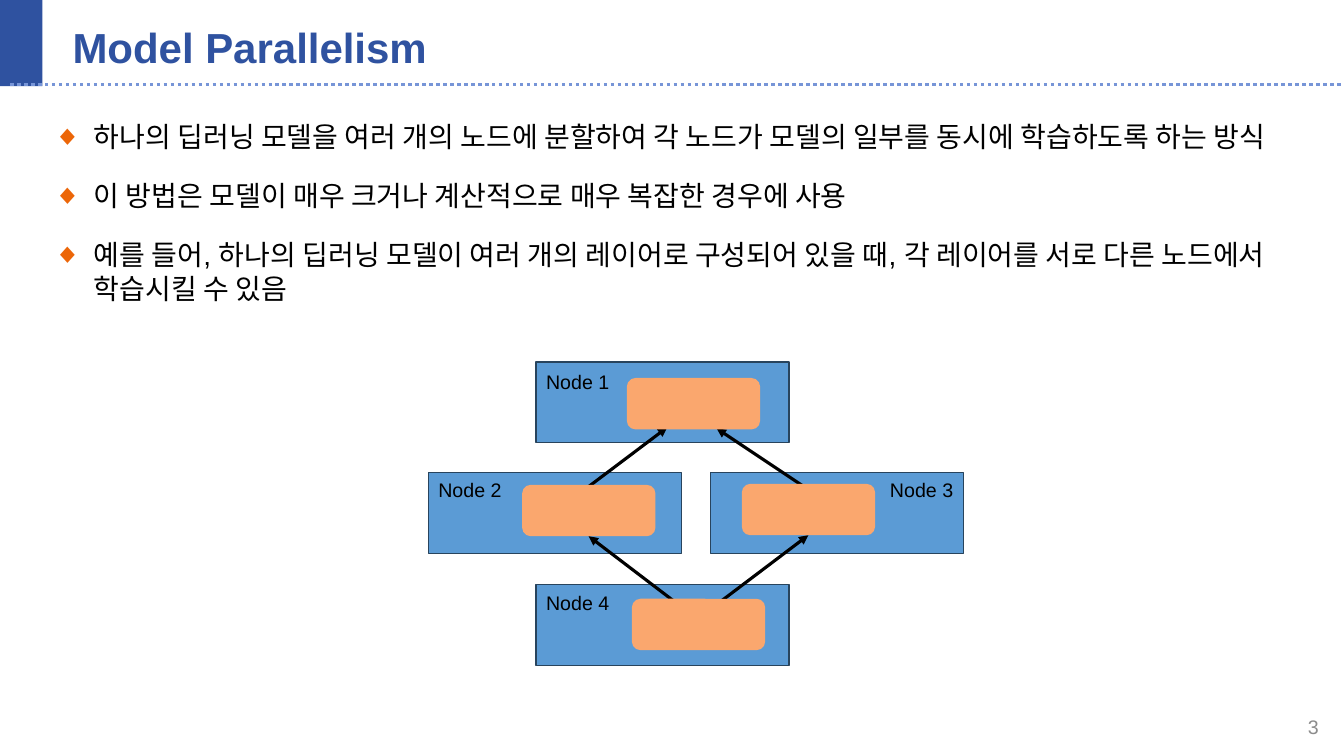
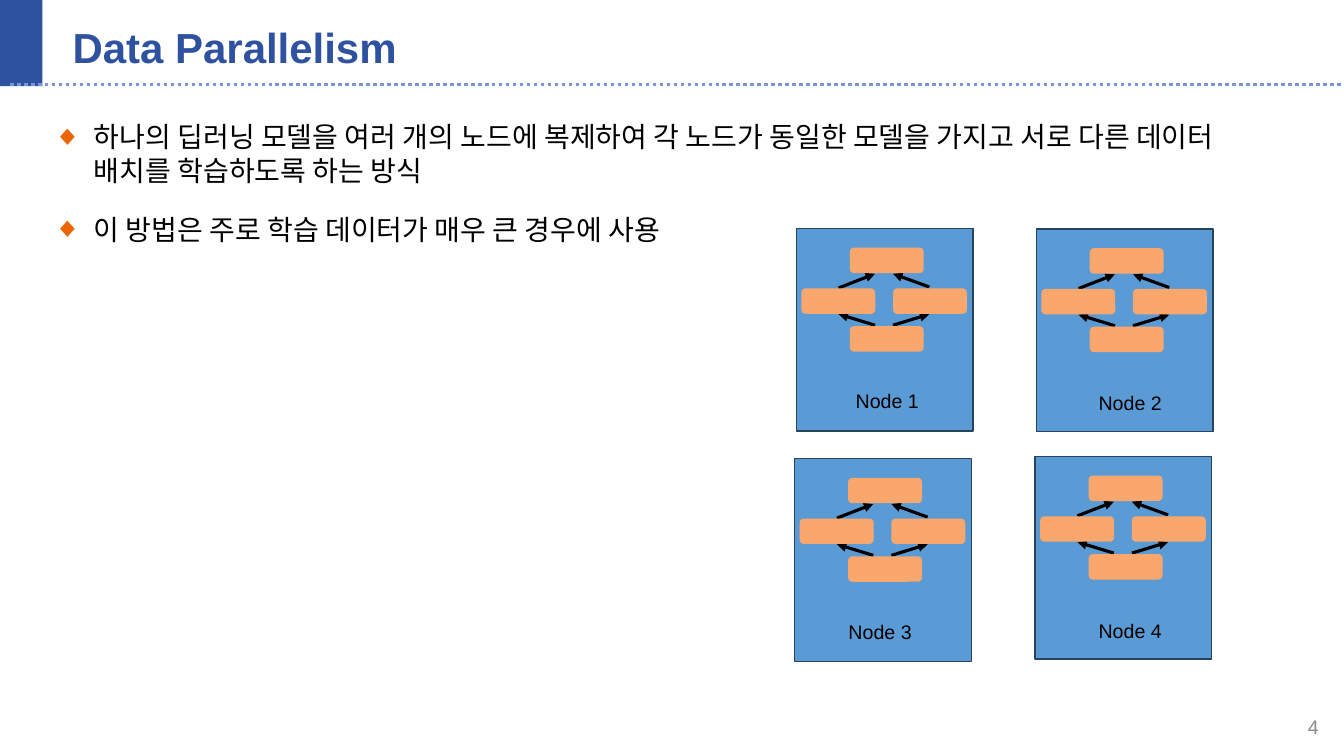
from dataclasses import dataclass, field
from lxml.etree import SubElement
from pptx import Presentation
from pptx.dml.color import RGBColor
from pptx.enum.dml import MSO_LINE
from pptx.enum.shapes import MSO_CONNECTOR, MSO_SHAPE
from pptx.enum.text import MSO_ANCHOR, MSO_AUTO_SIZE, PP_ALIGN
from pptx.oxml.ns import qn
from pptx.util import Pt


def style(size, bold=False):
    return {"name": "Arial", "size": Pt(size), "bold": bold}


@dataclass(frozen=True)
class Theme:
    navy: str = "2F52A0"
    dots: str = "7795D7"
    mark: str = "EC6608"
    node: str = "5B9BD5"
    edge: str = "28445D"
    chip: str = "FAA76E"
    ink: str = "000000"
    gray: str = "8C8C8C"
    title: dict = field(default_factory=lambda: style(30, True))
    body: dict = field(default_factory=lambda: style(20))
    label: dict = field(default_factory=lambda: style(14))


LOOK = Theme()

MODEL = (
    "하나의 딥러닝 모델을 여러 개의 노드에 분할하여 각 노드가 모델의 일부를 동시에 학습하도록 하는 방식",
    "이 방법은 모델이 매우 크거나 계산적으로 매우 복잡한 경우에 사용",
    "예를 들어, 하나의 딥러닝 모델이 여러 개의 레이어로 구성되어 있을 때, 각 레이어를 서로 다른 노드에서 학습시킬 수 있음",
)
DATA = (
    "하나의 딥러닝 모델을 여러 개의 노드에 복제하여 각 노드가 동일한 모델을 가지고 서로 다른 데이터 배치를 학습하도록 하는 방식",
    "이 방법은 주로 학습 데이터가 매우 큰 경우에 사용",
)

# name, node place, label offset, chip offset
SPLIT = (
    ("Node 1", (383, 258.5), (0, 2.2), (64.8, 11.5)),
    ("Node 3", (507.6, 337.7), (121, 0), (22.3, 7.9)),
    ("Node 2", (306, 337.7), (0, 0), (67, 8.6)),
    ("Node 4", (383, 417.6), (0, 0.7), (68.4, 10.1)),
)
FLOW = (
    ((418.3, 349.2), (476.6, 305.3)),
    ((576.7, 349.2), (511.9, 306)),
    ((515.5, 429.1), (577.4, 382.3)),
    ((481, 429.1), (420.5, 383)),
)
CLONES = (
    ("Node 1", (568.8, 163.2), (35.3, 111.1)),
    ("Node 2", (740.2, 163.6), (37.4, 112.2)),
    ("Node 4", (739.4, 326), (38.2, 112.5)),
    ("Node 3", (567.6, 327.6), (31.4, 111.6)),
)
CHIPS = ((38.2, 69.8), (38.2, 13.7), (3.6, 42.8), (69.1, 42.8))
LINKS = (
    ((30.2, 42.5), (56.2, 32.4)),
    ((95, 41.8), (69.1, 32.4)),
    ((56.2, 69.1), (30.2, 61.2)),
    ((69.1, 69.1), (95, 61.2)),
)


def put(item, vals):
    for key, val in vals.items():
        setattr(item, key, val)


def shift(base, step):
    return base[0] + step[0], base[1] + step[1]


def place(shape, box):
    put(shape, dict(zip(("left", "top", "width", "height"), map(Pt, box))))


def write(frame, lines, font, color, form=None):
    frame.text = "\n".join(lines)
    for para in frame.paragraphs:
        put(para, form or {})
        put(para.font, font)
        para.font.color.rgb = RGBColor.from_string(color)
        for run in para.runs:
            put(run.font, font)
            run.font.color.rgb = RGBColor.from_string(color)


def block(slide, kind, spot, size, fill, edge=None):
    shape = slide.shapes.add_shape(kind, *map(Pt, spot + size))
    shape.shadow.inherit = False
    shape.fill.solid()
    shape.fill.fore_color.rgb = RGBColor.from_string(fill)
    if edge:
        shape.line.color.rgb = RGBColor.from_string(edge)
        shape.line.width = Pt(1)
    else:
        shape.line.fill.background()
    return shape


def stroke(slide, start, end, color, width):
    line = slide.shapes.add_connector(MSO_CONNECTOR.STRAIGHT, *map(Pt, start + end))
    line.line.color.rgb = RGBColor.from_string(color)
    line.line.width = Pt(width)
    SubElement(line.element.spPr, qn("a:effectLst"))
    return line


def arrow(slide, start, end):
    line = stroke(slide, start, end, LOOK.ink, 2.25)
    SubElement(line.element.xpath(".//a:ln")[0], qn("a:tailEnd"), type="triangle")


def label(slide, text, spot, size=(77, 24.2), color=LOOK.ink, form=None, **extra):
    frame = slide.shapes.add_textbox(*map(Pt, spot + size)).text_frame
    put(frame, {"word_wrap": True, **extra})
    write(frame, [text], LOOK.label, color, form)


def bullet(shape):
    for para in shape.element.iter(qn("a:p")):
        form = para.get_or_add_pPr()
        put_in = {"marL": Pt(28.8), "indent": Pt(-28.8)}
        for key, val in put_in.items():
            form.set(key, str(val))
        tint = SubElement(form, qn("a:buClr"))
        SubElement(tint, qn("a:srgbClr"), val=LOOK.mark)
        SubElement(form, qn("a:buChar"), char="◆")


def brand(layout, slide):
    band = block(slide, MSO_SHAPE.RECTANGLE, (0, 0), (30.4, 61.6), LOOK.navy)
    rule = stroke(slide, (7.2, 60.5), (960, 60.5), LOOK.dots, 2.5)
    rule.line.dash_style = MSO_LINE.ROUND_DOT
    for count, shape in enumerate((band, rule), 50):
        shape.element.xpath(".//p:cNvPr")[0].set("id", str(count))
        layout.shapes.element.append(shape.element)


def page(deck, title, lines, width, number):
    slide = deck.slides.add_slide(deck.slide_layouts[1])
    head, body = slide.placeholders
    place(head, (44.6, 14.4, 828, 38.2))
    place(body, (31, 82.1, width, 403.9))
    for shape, anchor in ((head, MSO_ANCHOR.MIDDLE), (body, MSO_ANCHOR.TOP)):
        put(shape.text_frame, {"word_wrap": True, "auto_size": MSO_AUTO_SIZE.NONE,
                               "vertical_anchor": anchor})
    write(head.text_frame, [title], LOOK.title, LOOK.navy,
          {"alignment": PP_ALIGN.LEFT})
    write(body.text_frame, lines, LOOK.body, LOOK.ink, {"space_before": Pt(18)})
    bullet(body)
    label(slide, str(number), (733, 504.7), (216, 28.8), LOOK.gray,
          {"alignment": PP_ALIGN.RIGHT}, vertical_anchor=MSO_ANCHOR.MIDDLE)
    return slide


def split(slide):
    for name, spot, text, chip in SPLIT:
        block(slide, MSO_SHAPE.RECTANGLE, spot, (180.7, 57.6), LOOK.node, LOOK.edge)
    for start, end in FLOW:
        arrow(slide, start, end)
    for name, spot, text, chip in SPLIT:
        label(slide, name, shift(spot, text))
        block(slide, MSO_SHAPE.ROUNDED_RECTANGLE, shift(spot, chip),
              (95.2, 36.7), LOOK.chip)


def clone(slide, name, spot, text):
    block(slide, MSO_SHAPE.RECTANGLE, spot, (126.2, 144.8), LOOK.node, LOOK.edge)
    for start, end in LINKS:
        arrow(slide, shift(spot, start), shift(spot, end))
    for chip in CHIPS:
        block(slide, MSO_SHAPE.ROUNDED_RECTANGLE, shift(spot, chip),
              (52.8, 18.2), LOOK.chip)
    label(slide, name, shift(spot, text))


def main():
    deck = Presentation()
    put(deck, {"slide_width": Pt(960), "slide_height": Pt(540)})
    first = page(deck, "Model Parallelism", MODEL, 923, 3)
    brand(deck.slide_layouts[1], first)
    split(first)
    second = page(deck, "Data Parallelism", DATA, 898.6, 4)
    for name, spot, text in CLONES:
        clone(second, name, spot, text)
    deck.save("out.pptx")


main()
